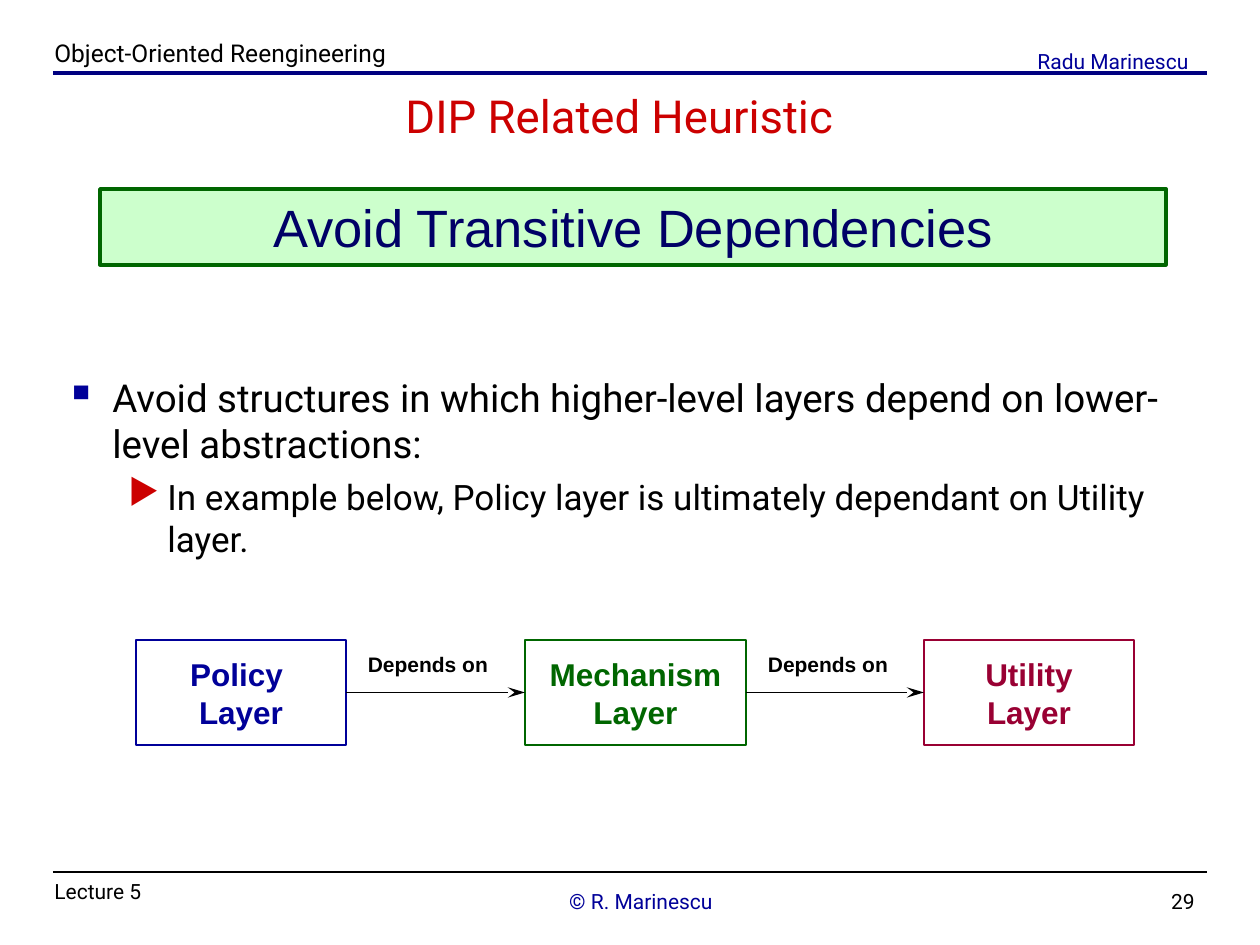
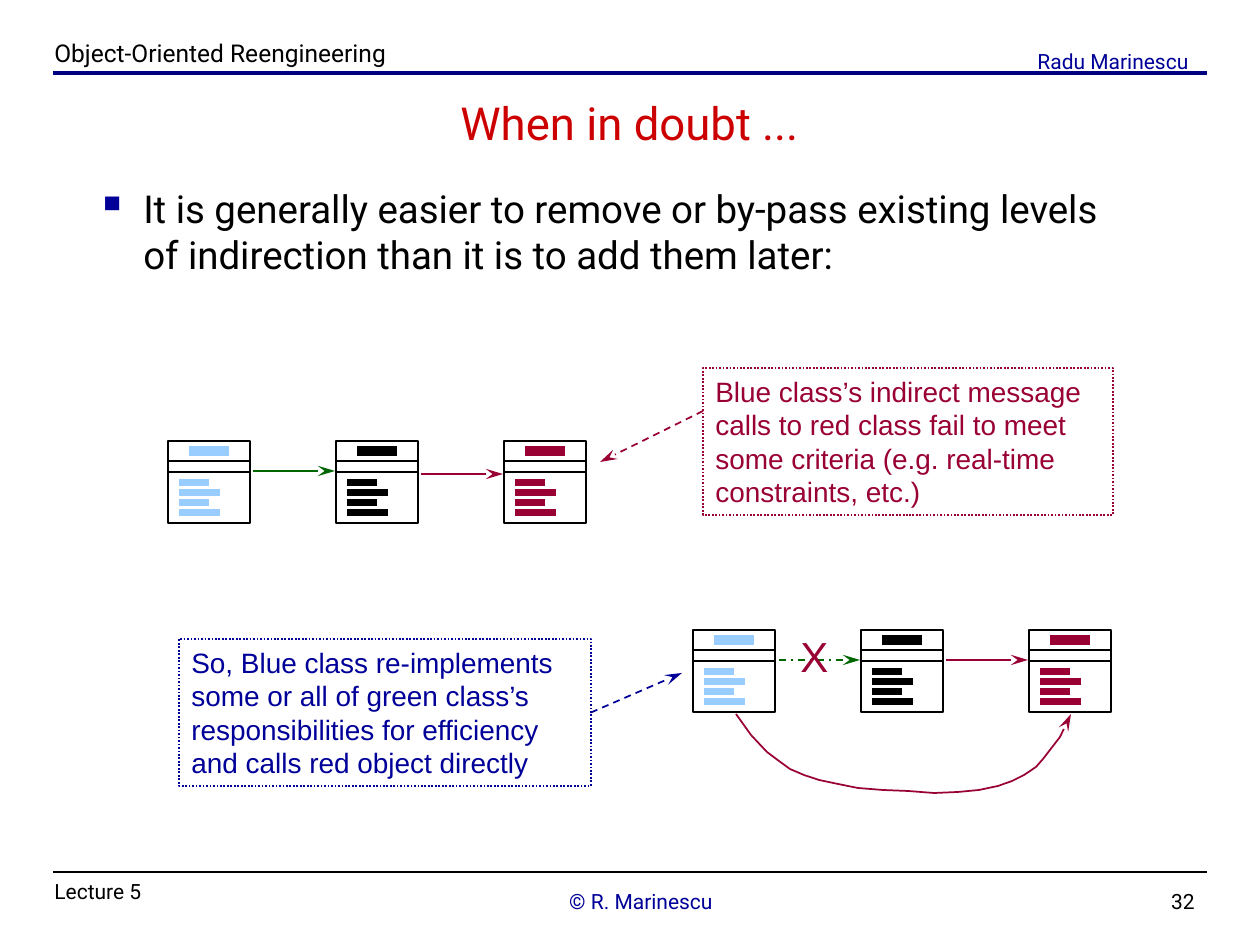
"""Builds two lecture slides on dependencies and indirection between classes."""
from lxml.etree import SubElement
from pptx import Presentation
from pptx.dml.color import RGBColor
from pptx.enum.dml import MSO_LINE as DASH
from pptx.enum.shapes import MSO_CONNECTOR as CONNECTOR, MSO_SHAPE as SHAPE
from pptx.enum.text import MSO_ANCHOR as ANCHOR, PP_ALIGN as ALIGN
from pptx.oxml.ns import qn
from pptx.util import Emu, Pt

EMU_PER_PX = 914400 / 126
PAGE_SIZE = (1260, 945)
COLOURS = {
    "black": "000000", "navy": "000080", "blue": "000099", "ink": "000066",
    "red": "CC0000", "wine": "990033", "green": "006600", "mint": "CCFFCC", "sky": "99CCFF",
}
ROBOTO, ARIAL = "Roboto", "Arial"

RULES = [((53, 872), (1207, 872), "black", 1.25), ((53, 73), (1207, 73), "navy", 2)]
NUMBER_AREA = (945, 882, 262, 32)
RUNNING_TEXTS = [
    ("Object-Oriented Reengineering", (42, 32, 1144, 32), 14, "black", ALIGN.LEFT),
    ("© R. Marinescu", (368, 882, 546, 42), 12, "blue", ALIGN.CENTER),
    ("Lecture 5", (42, 872, 230, 32), 12, "black", ALIGN.LEFT),
    ("Radu Marinescu", (1008, 42, 210, 21), 12, "blue", ALIGN.CENTER),
]
BULLETS = [
    {"char": "▪", "colour": "blue", "percent": 110, "left": 47, "hang": 47, "size": 22, "before": 5.5},
    {"char": "▶", "colour": "red", "percent": 100, "left": 102, "hang": 39, "size": 20, "before": 5},
]

HEURISTIC = {
    "number": "29",
    "title": ("DIP Related Heuristic", (126, 84, 987, 63)),
    "body_area": (53, 368, 1155, 221),
    "body": [
        (0, "Avoid structures in which higher-level layers depend on lower-level abstractions:"),
        (1, "In example below, Policy layer is ultimately dependant on Utility layer."),
    ],
}
BANNER = ("Avoid Transitive Dependencies", (100, 189, 1066, 76))
LAYER_TOP, LAYER_HEIGHT = 640, 105
LAYERS = [
    ("Policy \vLayer", 136, 210, "blue"),
    ("Mechanism\nLayer", 525, 221, "green"),
    ("Utility\vLayer", 924, 210, "wine"),
]
DEPENDENCY = "Depends on"

DOUBT = {
    "number": "32",
    "title": ("When in doubt ...", (136, 95, 987, 55)),
    "body_area": (84, 179, 1071, 640),
    "body": [
        (0, "It is generally easier to remove or by-pass existing levels of indirection "
            "than it is to add them later:"),
    ],
}
CARD_SIZE, CARD_STEP = 82, 168
CARD_ROWS = [(168, 441), (693, 630)]
CARD_COLOURS = ["sky", "black", "wine"]
CARD_DIVIDERS = [20, 31]
CARD_BARS = [(21, 61, 10, 6)] + [(11, (41, 52)[i % 2], 42 + 10 * i, 4) for i in range(4)]
CALLS = [
    ((253, 471), (335, 471), "green", None),
    ((421, 474), (503, 474), "wine", None),
    ((779, 660), (860, 660), "green", DASH.DASH_DOT),
    ((946, 660), (1028, 660), "wine", None),
]
CALLOUTS = [
    ("Blue class’s indirect message calls to red class fail to meet some criteria "
     "(e.g. real-time constraints, etc.)", (703, 368, 410, 147), "wine", (703, 411), (600, 462), None),
    ("So, Blue class re-implements some or all of green class’s responsibilities for "
     "efficiency and calls red object directly", (179, 639, 412, 147), "blue", (591, 713), (682, 673), 3),
]
CROSS = ("X", (788, 624, 53, 63))
BYPASS = [
    (736, 714), (751, 735), (767, 752), (779, 761), (790, 769), (804, 775), (819, 780),
    (838, 784), (858, 788), (883, 790), (908, 791), (934, 793), (958, 792), (979, 790),
    (998, 786), (1012, 781), (1024, 775), (1036, 767), (1043, 759), (1060, 737), (1071, 714),
]


def px(*lengths):
    return [Emu(round(length * EMU_PER_PX)) for length in lengths]


def rgb(name):
    return RGBColor.from_string(COLOURS[name])


def style_line(shape, colour, width=1, dash=None, arrow=False):
    shape.line.color.rgb = rgb(colour)
    shape.line.width = Pt(width)
    if dash:
        shape.line.dash_style = dash
    if arrow:
        outline = shape.element.spPr.find(qn("a:ln"))
        SubElement(outline, qn("a:tailEnd"), type="stealth", w="med", len="lg")


def add_line(shapes, start, end, colour, width=1, dash=None, arrow=False):
    line = shapes.add_connector(CONNECTOR.STRAIGHT, *px(*start, *end))
    style_line(line, colour, width, dash, arrow)
    SubElement(line.element.spPr, qn("a:effectLst"))
    return line


def add_box(shapes, area, colour, width=1, fill=None, dash=None):
    box = shapes.add_shape(SHAPE.RECTANGLE, *px(*area))
    box.shadow.inherit = False
    if fill:
        box.fill.solid()
        box.fill.fore_color.rgb = rgb(fill)
    else:
        box.fill.background()
    style_line(box, colour, width, dash)
    return box


def style_paragraph(para, size, colour, font, align=ALIGN.LEFT, bold=False):
    para.alignment = align
    for span in para.runs:
        span.font.size = Pt(size)
        span.font.name = font
        span.font.bold = bold
        span.font.color.rgb = rgb(colour)


def write(box, text, size, colour, font=ARIAL, align=ALIGN.LEFT, anchor=ANCHOR.TOP, bold=False, wrap=True):
    frame = box.text_frame
    frame.text = text
    frame.word_wrap = wrap
    frame.vertical_anchor = anchor
    for para in frame.paragraphs:
        style_paragraph(para, size, colour, font, align, bold)


def add_text(shapes, text, area, *style, **options):
    write(shapes.add_textbox(*px(*area)), text, *style, **options)


def add_bullet(para, bullet):
    style_paragraph(para, bullet["size"], "black", ROBOTO)
    para.space_before = Pt(bullet["before"])
    left, hang = px(bullet["left"], bullet["hang"])
    properties = para._p.get_or_add_pPr()
    properties.set("marL", str(left))
    properties.set("indent", str(-hang))
    colour = SubElement(properties, qn("a:buClr"))
    SubElement(colour, qn("a:srgbClr"), val=COLOURS[bullet["colour"]])
    SubElement(properties, qn("a:buSzPct"), val=str(bullet["percent"] * 1000))
    SubElement(properties, qn("a:buChar"), char=bullet["char"])


def add_page(deck, content):
    shapes = deck.slides.add_slide(deck.slide_layouts[6]).shapes
    for rule in RULES:
        add_line(shapes, *rule)
    number = (content["number"], NUMBER_AREA, 12, "black", ALIGN.RIGHT)
    for text, area, size, colour, align in RUNNING_TEXTS + [number]:
        add_text(shapes, text, area, size, colour, ROBOTO, align)
    add_text(shapes, *content["title"], 26, "red", ROBOTO, ALIGN.CENTER, ANCHOR.MIDDLE)
    frame = shapes.add_textbox(*px(*content["body_area"])).text_frame
    frame.word_wrap = True
    frame.text = "\n".join(text for level, text in content["body"])
    for para, (level, text) in zip(frame.paragraphs, content["body"]):
        para.level = level
        add_bullet(para, BULLETS[level])
    return shapes


def add_layers(shapes):
    boxes = []
    for text, left, width, colour in LAYERS:
        box = add_box(shapes, (left, LAYER_TOP, width, LAYER_HEIGHT), colour)
        write(box, text, 18, colour, align=ALIGN.CENTER, anchor=ANCHOR.MIDDLE, bold=True, wrap=False)
        boxes.append(box)
    middle = LAYER_TOP + LAYER_HEIGHT / 2
    for i, (source, target) in enumerate(zip(boxes, boxes[1:])):
        right = LAYERS[i][1] + LAYERS[i][2]
        arrow = add_line(shapes, (right, middle), (LAYERS[i + 1][1], middle), "black", arrow=True)
        arrow.begin_connect(source, 3)
        arrow.end_connect(target, 1)
        add_text(shapes, DEPENDENCY, (right + 9, LAYER_TOP + 5, 146, 38), 12, "black",
                 align=ALIGN.CENTER, anchor=ANCHOR.MIDDLE, bold=True, wrap=False)


def add_class_card(shapes, left, top, colour):
    card = shapes.add_group_shape().shapes
    add_box(card, (left, top, CARD_SIZE, CARD_SIZE), "black")
    for drop in CARD_DIVIDERS:
        add_line(card, (left, top + drop), (left + CARD_SIZE, top + drop), "black")
    for start, end, drop, width in CARD_BARS:
        add_line(card, (left + start, top + drop), (left + end, top + drop), colour, width)


def add_bypass(shapes):
    builder = shapes.build_freeform(*BYPASS[0], scale=EMU_PER_PX)
    builder.add_line_segments(BYPASS[1:], close=False)
    curve = builder.convert_to_shape()
    curve.shadow.inherit = False
    curve.fill.background()
    style_line(curve, "wine", arrow=True)


def add_callouts(shapes):
    for text, area, colour, start, end, side in CALLOUTS:
        box = add_box(shapes, area, colour, dash=DASH.ROUND_DOT)
        write(box, text, 16, colour)
        pointer = add_line(shapes, start, end, colour, dash=DASH.DASH, arrow=True)
        if side is not None:
            pointer.begin_connect(box, side)


def main():
    deck = Presentation()
    deck.slide_width, deck.slide_height = px(*PAGE_SIZE)

    shapes = add_page(deck, HEURISTIC)
    text, area = BANNER
    banner = add_box(shapes, area, "green", 2, "mint")
    write(banner, text, 30, "ink", align=ALIGN.CENTER)
    add_layers(shapes)

    shapes = add_page(deck, DOUBT)
    for left, top in CARD_ROWS:
        for i, colour in enumerate(CARD_COLOURS):
            add_class_card(shapes, left + i * CARD_STEP, top, colour)
    for start, end, colour, dash in CALLS:
        add_line(shapes, start, end, colour, dash=dash, arrow=True)
    add_bypass(shapes)
    add_text(shapes, *CROSS, 24, "wine", wrap=False)
    add_callouts(shapes)

    deck.save("out.pptx")


if __name__ == "__main__":
    main()
